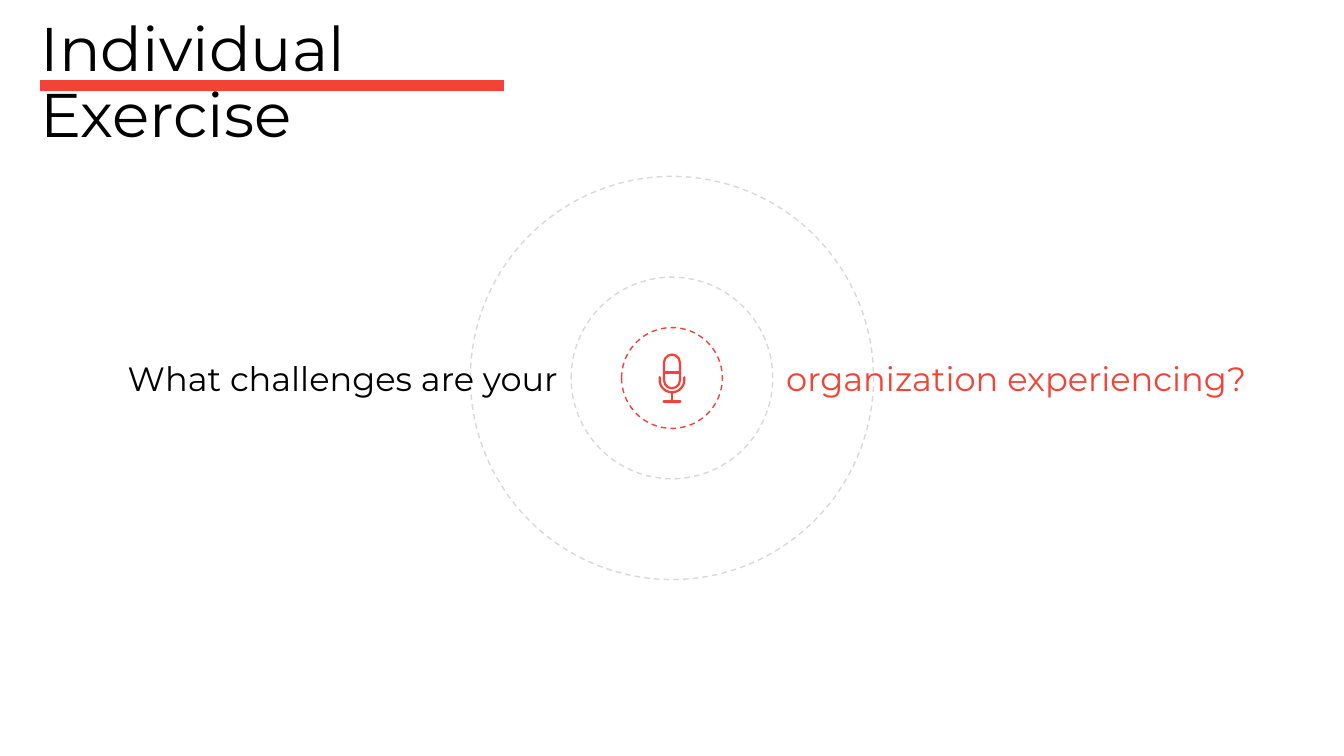
import math

from lxml import etree
from pptx import Presentation
from pptx import util as u
from pptx.dml.color import RGBColor
from pptx.enum import dml, shapes, text
from pptx.oxml.ns import qn

BLACK = RGBColor(0x00, 0x00, 0x00)
RED = RGBColor(0xF4, 0x43, 0x36)
GREY = RGBColor(0xD9, 0xD9, 0xD9)
FONT = "Montserrat"
ICON_STROKE = 1.6
SLIDE_WIDTH, SLIDE_HEIGHT = 33.87, 19.05


def format_text(paragraph, size, color, alignment):
    paragraph.alignment = alignment
    for run in paragraph.runs:
        run.font.name = FONT
        run.font.size = u.Pt(size)
        run.font.color.rgb = color


def outline(shape, color, width):
    shape.fill.background()
    shape.line.color.rgb = color
    shape.line.width = u.Pt(width)
    shape.shadow.inherit = False


def add_line(slide, start, end, width, cap="flat"):
    """Draw a red line between two points given in centimetres."""
    line = slide.shapes.add_connector(
        shapes.MSO_CONNECTOR.STRAIGHT, *map(u.Cm, (*start, *end)))
    line.line.color.rgb = RED
    line.line.width = u.Pt(width)
    properties = line._element.spPr
    properties.find(qn("a:ln")).set("cap", cap)
    etree.SubElement(properties, qn("a:effectLst"))


def add_title(slide, left, top, width, height):
    title = slide.shapes.title
    title.left, title.top, title.width, title.height = map(
        u.Cm, (left, top, width, height))
    frame = title.text_frame
    frame.text = "Individual Exercise"
    frame.word_wrap = True
    frame.auto_size = text.MSO_AUTO_SIZE.NONE
    frame.vertical_anchor = text.MSO_ANCHOR.TOP
    frame.margin_left = frame.margin_right = 0
    frame.margin_top = frame.margin_bottom = u.Cm(0.13)
    paragraph = frame.paragraphs[0]
    paragraph.line_spacing = 0.9
    format_text(paragraph, 44, BLACK, text.PP_ALIGN.LEFT)
    rule_y = top + 1.83
    add_line(slide, (left, rule_y), (left + 11.68, rule_y), 8)


def add_rings(slide, center_x, center_y):
    for diameter, color in ((10.16, GREY), (5.08, GREY), (2.54, RED)):
        ring = slide.shapes.add_shape(
            shapes.MSO_SHAPE.OVAL,
            u.Cm(center_x - diameter / 2), u.Cm(center_y - diameter / 2),
            u.Cm(diameter), u.Cm(diameter))
        outline(ring, color, 1)
        ring.line.dash_style = dml.MSO_LINE.DASH


def add_microphone(slide, center_x, center_y):
    width, height = 0.4, 0.85
    top = center_y - 0.59
    capsule = slide.shapes.add_shape(
        shapes.MSO_SHAPE.ROUNDED_RECTANGLE,
        u.Cm(center_x - width / 2), u.Cm(top), u.Cm(width), u.Cm(height))
    capsule.adjustments[0] = 0.5
    outline(capsule, RED, ICON_STROKE)

    divider_y = center_y - 0.14
    add_line(slide, (center_x - width / 2, divider_y),
             (center_x + width / 2, divider_y), ICON_STROKE)

    radius, cradle_y = 0.31, center_y + 0.05
    arc = [(center_x + radius * math.cos(math.radians(angle)),
            cradle_y + radius * math.sin(math.radians(angle)))
           for angle in range(0, 181, 6)]
    points = [(center_x + radius, cradle_y - 0.07), *arc,
              (center_x - radius, cradle_y - 0.07)]
    points = [(u.Cm(x), u.Cm(y)) for x, y in points]
    builder = slide.shapes.build_freeform(*points[0])
    builder.add_line_segments(points[1:], close=False)
    cradle = builder.convert_to_shape()
    outline(cradle, RED, ICON_STROKE)
    cradle._element.spPr.find(qn("a:ln")).set("cap", "rnd")

    base_y = center_y + 0.59
    add_line(slide, (center_x, cradle_y + radius), (center_x, base_y), ICON_STROKE)
    add_line(slide, (center_x - 0.21, base_y), (center_x + 0.21, base_y),
             ICON_STROKE, "rnd")


def add_question(slide, center_x, center_y):
    """Place the two halves of the question on either side of the centre."""
    width, height, gap = 12.5, 1.27, 2.63
    halves = (
        ("What challenges are your", center_x - gap - width, BLACK, text.PP_ALIGN.RIGHT),
        ("organization experiencing?", center_x + gap, RED, text.PP_ALIGN.LEFT),
    )
    for wording, left, color, alignment in halves:
        box = slide.shapes.add_textbox(
            u.Cm(left), u.Cm(center_y - height / 2), u.Cm(width), u.Cm(height))
        box.text_frame.word_wrap = True
        box.text_frame.text = wording
        format_text(box.text_frame.paragraphs[0], 24, color, alignment)


def main():
    presentation = Presentation()
    presentation.slide_width = u.Cm(SLIDE_WIDTH)
    presentation.slide_height = u.Cm(SLIDE_HEIGHT)
    slide = presentation.slides.add_slide(presentation.slide_layouts[5])
    center = SLIDE_WIDTH / 2, SLIDE_HEIGHT / 2
    add_rings(slide, *center)
    add_question(slide, *center)
    add_microphone(slide, *center)
    add_title(slide, 1.02, 0.33, 12.88, 1.96)
    presentation.save("out.pptx")


if __name__ == "__main__":
    main()
